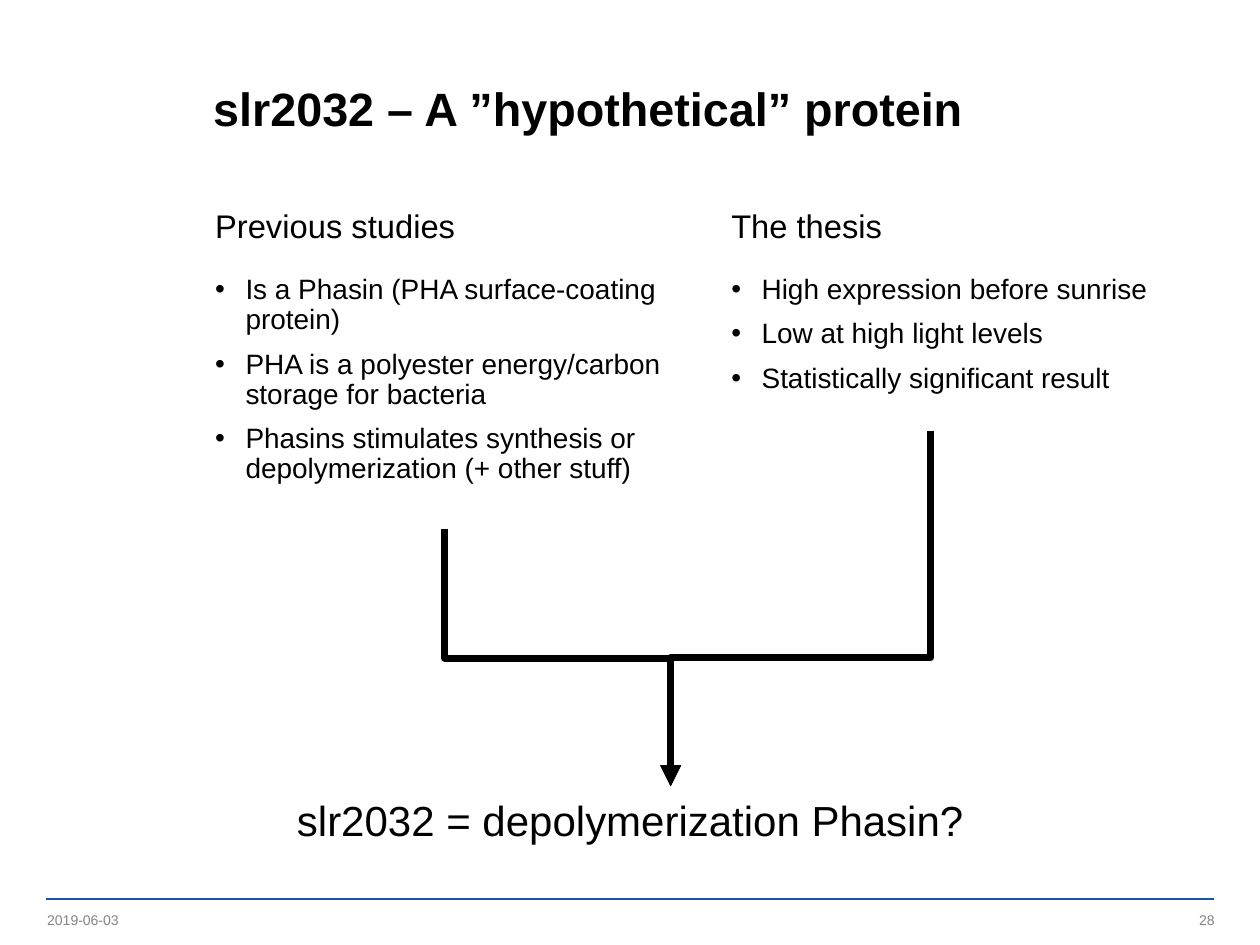
from dataclasses import dataclass

from lxml.etree import SubElement
from pptx import Presentation
from pptx.dml.color import RGBColor
from pptx.enum.shapes import MSO_CONNECTOR
from pptx.enum.text import MSO_ANCHOR, MSO_AUTO_SIZE, PP_ALIGN
from pptx.oxml.ns import qn
from pptx.util import Pt


@dataclass(frozen=True)
class Theme:
    font: str = "Arial"
    ink: str = "000000"
    muted: str = "848489"
    rule: str = "1954A6"
    title: int = 20
    conclusion: int = 18
    heading: int = 14
    body: int = 12
    footer: int = 6


class SlideBuilder:
    def __init__(self, prs, theme):
        self.theme = theme
        self.s = prs.slides.add_slide(prs.slide_layouts[4])

    def place(self, sp, box):
        sp.left, sp.top, sp.width, sp.height = map(Pt, box)

    def set_text(self, sp, text, size, color=None, bold=False,
                 align=PP_ALIGN.LEFT, anchor=MSO_ANCHOR.TOP):
        tf = sp.text_frame
        tf.text = text
        tf.auto_size = MSO_AUTO_SIZE.NONE
        tf.vertical_anchor = anchor
        for p in tf.paragraphs:
            p.alignment = align
            for r in p.runs:
                r.font.name = self.theme.font
                r.font.size = Pt(size)
                r.font.bold = bold
                r.font.color.rgb = RGBColor.from_string(color or self.theme.ink)
        return tf

    def title(self, text, box):
        sp = self.s.shapes.title
        self.place(sp, box)
        tf = self.set_text(sp, text, self.theme.title, bold=True,
                           anchor=MSO_ANCHOR.MIDDLE)
        tf.paragraphs[0].line_spacing = Pt(22.5)

    def placeholder(self, idx, text, box, size, before, anchor):
        sp = self.s.placeholders[idx]
        self.place(sp, box)
        tf = self.set_text(sp, text, size, anchor=anchor)
        for p in tf.paragraphs:
            p.line_spacing = 0.9
            p.space_before = Pt(before)
            p.space_after = Pt(1.5)
        return tf

    def heading(self, idx, text, box):
        self.placeholder(idx, text, box, self.theme.heading, 7.5,
                         MSO_ANCHOR.BOTTOM)

    def bullets(self, idx, items, box):
        tf = self.placeholder(idx, "\n".join(items), box, self.theme.body, 4.5,
                              MSO_ANCHOR.TOP)
        for p in tf.paragraphs:
            pPr = p._p.get_or_add_pPr()
            pPr.set("marL", str(Pt(13)))
            pPr.set("indent", str(-Pt(13)))
            SubElement(pPr, qn("a:buChar"), char="•")

    def text(self, text, box, size):
        sp = self.s.shapes.add_textbox(*map(Pt, box))
        self.set_text(sp, text, size).word_wrap = True

    def footer(self, text, box, align):
        sp = self.s.shapes.add_textbox(*map(Pt, box))
        tf = self.set_text(sp, text, self.theme.footer, self.theme.muted,
                           align=align, anchor=MSO_ANCHOR.MIDDLE)
        tf.margin_left = tf.margin_right = tf.margin_top = tf.margin_bottom = 0
        tf.word_wrap = False

    def line(self, kind, start, end, color, width):
        c = self.s.shapes.add_connector(kind, *map(Pt, (*start, *end)))
        c.line.color.rgb = RGBColor.from_string(color)
        c.line.width = Pt(width)
        SubElement(c._element.spPr, qn("a:effectLst"))
        return c

    def rule(self, start, end):
        self.line(MSO_CONNECTOR.STRAIGHT, start, end, self.theme.rule, 1)

    def elbow_arrow(self, start, end, bend_y):
        (x1, y1), (x2, y2) = start, end
        mid_x, mid_y = (x1 + x2) / 2, (y1 + y2) / 2
        half_w, half_h = (y2 - y1) / 2, abs(x2 - x1) / 2
        side = -1 if x2 > x1 else 1
        c = self.line(MSO_CONNECTOR.ELBOW,
                      (mid_x - side * half_w, mid_y - half_h),
                      (mid_x + side * half_w, mid_y + half_h),
                      self.theme.ink, 3)
        spPr = c._element.spPr
        degrees = 270 if side < 0 else 90
        spPr.find(qn("a:xfrm")).set("rot", str(degrees * 60000))
        avLst = spPr.find(qn("a:prstGeom")).get_or_add_avLst()
        bend = round((bend_y - y1) / (y2 - y1) * 100000)
        SubElement(avLst, qn("a:gd"), name="adj1", fmla=f"val {bend}")
        SubElement(spPr.find(qn("a:ln")), qn("a:tailEnd"), type="triangle")


def main():
    prs = Presentation()
    prs.slide_width, prs.slide_height = Pt(540), Pt(405)
    theme = Theme()
    slide = SlideBuilder(prs, theme)

    slide.rule((19.6, 385.2), (520.4, 385.2))
    slide.title("slr2032 – A ”hypothetical” protein", (84.2, 20.2, 436.3, 53.3))

    columns = [
        ("Previous studies", [
            "Is a Phasin (PHA surface-coating protein)",
            "PHA is a polyester energy/carbon storage for bacteria",
            "Phasins stimulates synthesis or depolymerization (+ other stuff)",
        ]),
        ("The thesis", [
            "High expression before sunrise",
            "Low at high light levels",
            "Statistically significant result",
        ]),
    ]
    for i, (heading, items) in enumerate(columns):
        left = 85 + i * 221.2
        slide.heading(1 + 2 * i, heading, (left, 82.8, 213.8, 25.9))
        slide.bullets(2 + 2 * i, items, (left, 114.5, 213.8, 257))

    slide.text("slr2032 = depolymerization Phasin?", (120.2, 337, 334.8, 28.8),
               theme.conclusion)
    for start in ((190.6, 226.6), (398.8, 184.6)):
        slide.elbow_arrow(start, (287.4, 337), 282)

    for text, left, align in (("2019-06-03", 20.2, PP_ALIGN.LEFT),
                              ("28", 398.9, PP_ALIGN.RIGHT)):
        slide.footer(text, (left, 389.5, 121.7, 9.4), align)

    prs.save("out.pptx")


if __name__ == "__main__":
    main()
